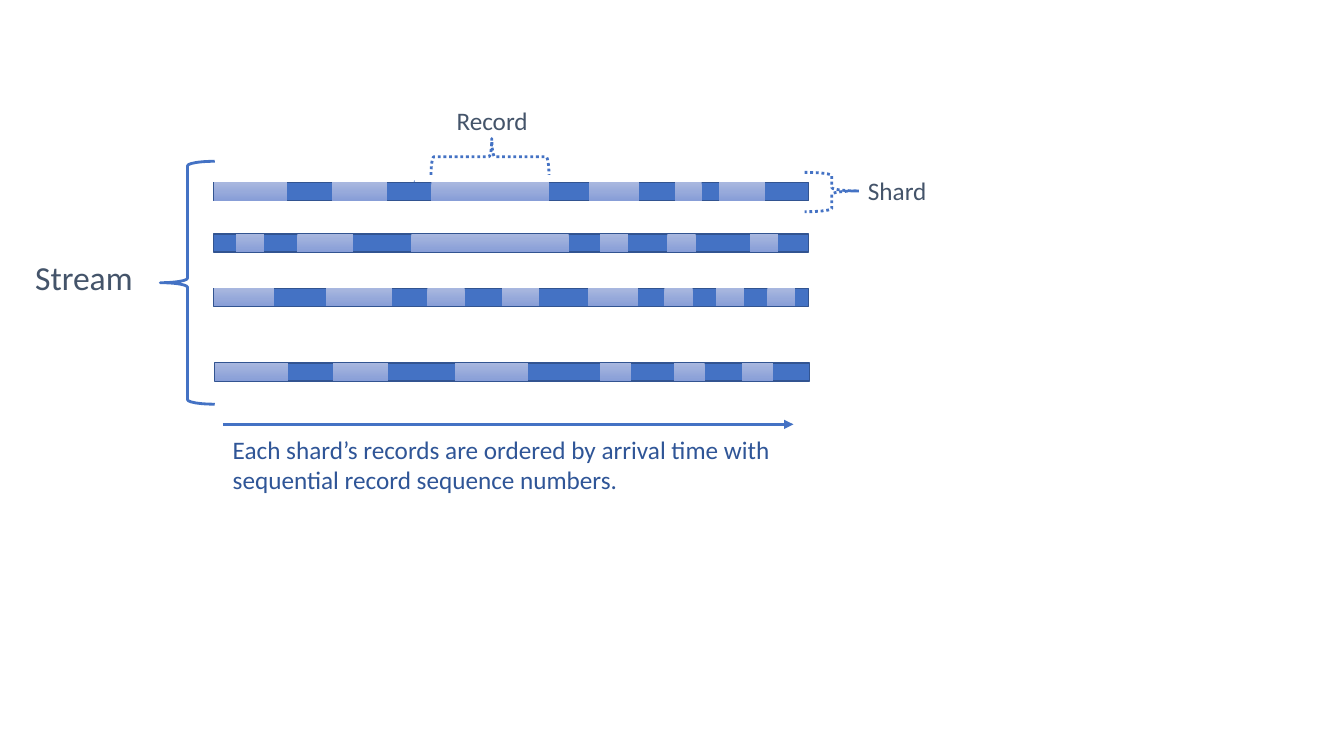
import dataclasses

import pptx
import pptx.dml.color
import pptx.enum.dml
import pptx.enum.shapes
import pptx.enum.text
import pptx.oxml
import pptx.oxml.ns
import pptx.util

SHAPE = pptx.enum.shapes.MSO_SHAPE
DOTTED = pptx.enum.dml.MSO_LINE.ROUND_DOT

# The grid has 100 columns and 100 rows to the inch.
COLUMNS, ROWS = 1333, 750
CELL = pptx.util.Inches(0.01)
BAR_WIDTH, BAR_HEIGHT = 590, 18

# Each shard: left column, top row, and its records as (column, width).
SHARDS = [
    (212, 181, [(212, 73), (329, 55), (428, 117), (584, 50), (669, 27), (713, 46)]),
    (212, 232, [(234, 28), (295, 55), (408, 156), (595, 28), (662, 28), (744, 28)]),
    (212, 286, [(212, 60), (323, 66), (424, 37), (498, 37), (583, 50),
                (659, 28), (710, 28), (761, 28)]),
    (213, 360, [(213, 73), (330, 55), (451, 73), (595, 31), (668, 31), (736, 31)]),
]


@dataclasses.dataclass(frozen=True)
class Theme:
    font: str = "Calibri"
    label: str = "44546A"
    caption: str = "2F5597"
    accent: str = "4472C4"
    outline: str = "325491"
    record_top: str = "A8B7DF"
    record_bottom: str = "889ED7"
    body_size: int = 18
    stream_size: int = 24


THEME = Theme()


def rgb(value):
    return pptx.dml.color.RGBColor.from_string(value)


def cells(*counts):
    return [count * CELL for count in counts]


def set_values(target, values):
    for name, value in values.items():
        setattr(target, name, value)


def set_line(line, color, width):
    line.color.rgb = rgb(color)
    line.width = pptx.util.Pt(width)


def add_label(page, frame, text, color=THEME.label, size=THEME.body_size):
    box = page.shapes.add_textbox(*cells(*frame))
    set_values(box.text_frame, {
        "word_wrap": True,
        "auto_size": pptx.enum.text.MSO_AUTO_SIZE.SHAPE_TO_FIT_TEXT,
    })
    span = box.text_frame.paragraphs[0].add_run()
    span.text = text
    set_values(span.font, {"name": THEME.font, "size": pptx.util.Pt(size)})
    span.font.color.rgb = rgb(color)


def add_shape(page, kind, frame):
    shape = page.shapes.add_shape(kind, *cells(*frame))
    shape.shadow.inherit = False
    return shape


def add_brace(page, frame, tip=0.5, rotation=0, dash=None):
    """Draw a left brace whose point sits at the share `tip` of its height."""
    brace = add_shape(page, SHAPE.LEFT_BRACE, frame)
    brace.rotation = rotation
    brace.adjustments[1] = tip
    brace.fill.background()
    set_line(brace.line, THEME.accent, 2)
    if dash:
        brace.line.dash_style = dash


def add_arrow(page, start, end, width):
    arrow = page.shapes.add_connector(
        pptx.enum.shapes.MSO_CONNECTOR.STRAIGHT, *cells(*start, *end))
    set_line(arrow.line, THEME.accent, width)
    properties = arrow._element.spPr
    head = pptx.oxml.parse_xml(
        f'<a:tailEnd {pptx.oxml.ns.nsdecls("a")} type="triangle"/>')
    arrow.line._get_or_add_ln().append(head)
    properties.append(pptx.oxml.parse_xml(
        f'<a:effectLst {pptx.oxml.ns.nsdecls("a")}/>'))


def add_record(page, left, top, width):
    record = add_shape(page, SHAPE.RECTANGLE, (left, top, width, BAR_HEIGHT))
    record.fill.gradient()
    record.fill.gradient_angle = 270
    colors = (THEME.record_top, THEME.record_bottom)
    for stop, color in zip(record.fill.gradient_stops, colors):
        stop.color.rgb = rgb(color)
    record.line.fill.background()


def add_shard(page, left, top, records):
    bar = add_shape(page, SHAPE.RECTANGLE, (left, top, BAR_WIDTH, BAR_HEIGHT))
    bar.fill.solid()
    bar.fill.fore_color.rgb = rgb(THEME.accent)
    set_line(bar.line, THEME.outline, 1)
    for column, width in records:
        add_record(page, column, top, width)


def main():
    deck = pptx.Presentation()
    set_values(deck, {"slide_width": COLUMNS * CELL, "slide_height": ROWS * CELL})
    page = deck.slides.add_slide(deck.slide_layouts[6])

    add_label(page, (221, 426, 583, 71),
              "Each shard’s records are ordered by arrival time with "
              "sequential record sequence numbers.", THEME.caption)
    add_label(page, (25, 250, 126, 91), "Stream", size=THEME.stream_size)
    add_label(page, (851, 169, 81, 41), "Shard")
    add_label(page, (443, 100, 98, 40), "Record")

    add_arrow(page, (411, 179), (410, 199), 0.5)
    add_arrow(page, (221, 421), (787, 421), 2.25)
    for left, top, records in SHARDS:
        add_shard(page, left, top, records)

    add_brace(page, (159, 160, 54, 241))
    add_brace(page, (468, 97, 36, 117), 0.485, 90, DOTTED)
    add_brace(page, (798, 171, 54, 39), 0.529, 180, DOTTED)
    deck.save("out.pptx")


if __name__ == "__main__":
    main()
